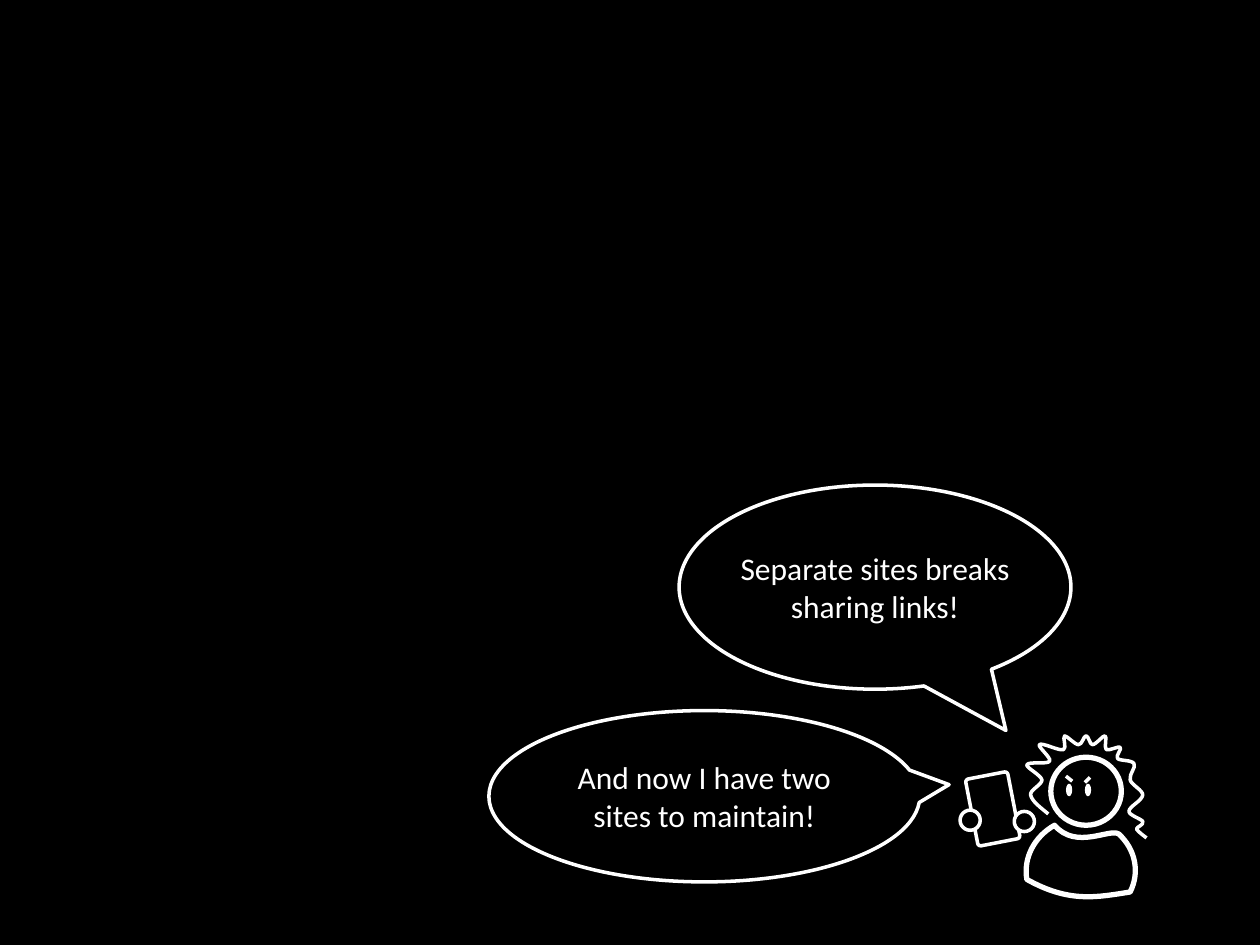
from lxml.etree import SubElement
from pptx import Presentation
from pptx.dml.color import RGBColor
from pptx.enum.shapes import MSO_CONNECTOR, MSO_SHAPE
from pptx.enum.text import MSO_ANCHOR, PP_ALIGN
from pptx.oxml.ns import qn
from pptx.util import Inches, Pt

COLORS = {"ink": "FFFFFF", "ground": "000000"}
FONT = {"name": "Calibri", "size": Pt(18)}

# Speech bubbles: text, box, tail tip as a share of the box from its centre
BUBBLES = [
    ("Separate sites breaks sharing links!", (5.39, 3.85, 3.11, 1.62), (0.334, 0.702)),
    ("And now I have two sites to maintain!", (3.88, 5.64, 3.42, 1.36), (0.568, -0.068)),
]

# Outlines: start point, then two handles and an end point for each curve
BODY_BOX = (8.15, 6.55, 0.87, 0.57)
BODY = [
    (8.15, 6.98),
    (8.12, 6.81), (8.21, 6.64), (8.37, 6.55),
    (8.54, 6.75), (8.81, 6.57), (8.88, 6.62),
    (9.01, 6.74), (9.05, 6.92), (8.97, 7.08),
    (8.71, 7.12), (8.49, 7.17), (8.15, 6.98),
]
HAIR_BOX = (8.15, 5.84, 0.95, 0.81)
HAIR = [
    (8.32, 6.46),
    (8.26, 6.41), (8.19, 6.36), (8.18, 6.31),
    (8.17, 6.27), (8.27, 6.23), (8.27, 6.19),
    (8.26, 6.15), (8.14, 6.09), (8.15, 6.07),
    (8.16, 6.04), (8.32, 6.07), (8.33, 6.04),
    (8.35, 6.02), (8.23, 5.92), (8.25, 5.91),
    (8.27, 5.89), (8.40, 5.96), (8.44, 5.95),
    (8.47, 5.94), (8.43, 5.85), (8.45, 5.84),
    (8.47, 5.84), (8.53, 5.91), (8.56, 5.91),
    (8.59, 5.91), (8.60, 5.84), (8.62, 5.84),
    (8.64, 5.84), (8.65, 5.91), (8.67, 5.91),
    (8.70, 5.91), (8.76, 5.83), (8.77, 5.84),
    (8.79, 5.84), (8.76, 5.93), (8.78, 5.95),
    (8.80, 5.96), (8.88, 5.92), (8.89, 5.93),
    (8.91, 5.94), (8.85, 6.00), (8.87, 6.02),
    (8.89, 6.04), (8.98, 6.03), (9.00, 6.06),
    (9.02, 6.09), (8.96, 6.14), (8.97, 6.19),
    (8.98, 6.23), (9.07, 6.27), (9.07, 6.31),
    (9.06, 6.36), (8.96, 6.40), (8.96, 6.44),
    (8.96, 6.47), (9.06, 6.50), (9.07, 6.52),
    (9.08, 6.55), (9.02, 6.56), (9.02, 6.58),
    (9.03, 6.60), (9.10, 6.65), (9.10, 6.65),
]

HEAD = (8.34, 6.01, 0.56, 0.54)
EYES = [(8.46, 6.22, 0.05, 0.1), (8.61, 6.22, 0.05, 0.1)]
BROWS = [(8.46, 6.16, 8.51, 6.2), (8.65, 6.17, 8.61, 6.21)]
PHONE = (7.71, 6.15, 0.34, 0.54)
HANDS = [(7.62, 6.43, 0.16, 0.16), (8.05, 6.44, 0.16, 0.16)]


def color(name):
    return RGBColor.from_string(COLORS[name])


def style(sp, fill=None, width=None):
    sp.shadow.inherit = False
    if fill:
        sp.fill.solid()
        sp.fill.fore_color.rgb = color(fill)
    else:
        sp.fill.background()
    if width:
        sp.line.color.rgb = color("ink")
        sp.line.width = Pt(width)
    else:
        sp.line.fill.background()
    return sp


def add_preset(shapes, kind, box, fill=None, width=None):
    return style(shapes.add_shape(kind, *map(Inches, box)), fill, width)


def add_curve(shapes, box, points, width, closed=False):
    x, y, w, h = box
    fb = shapes.build_freeform(Inches(x), Inches(y))
    fb.add_line_segments([(Inches(x + w), Inches(y)), (Inches(x + w), Inches(y + h))])
    sp = fb.convert_to_shape()
    # Swap the straight segments for Bezier curves
    path = next(sp.element.iter(qn("a:path")))
    for child in list(path):
        path.remove(child)

    def add_step(tag, pts):
        step = SubElement(path, qn(tag))
        for px, py in pts:
            SubElement(step, qn("a:pt"), x=str(Inches(px - x)), y=str(Inches(py - y)))

    add_step("a:moveTo", points[:1])
    for i in range(1, len(points), 3):
        add_step("a:cubicBezTo", points[i:i + 3])
    if closed:
        add_step("a:close", [])
    return style(sp, width=width)


def add_bubble(shapes, text, box, tail):
    sp = add_preset(shapes, MSO_SHAPE.OVAL_CALLOUT, box, width=2)
    for i, value in enumerate(tail):
        sp.adjustments[i] = value
    tf = sp.text_frame
    tf.word_wrap = True
    tf.vertical_anchor = MSO_ANCHOR.MIDDLE
    for side in ("left", "top", "right", "bottom"):
        setattr(tf, f"margin_{side}", 0)
    p = tf.paragraphs[0]
    p.alignment = PP_ALIGN.CENTER
    r = p.add_run()
    r.text = text
    for key, value in FONT.items():
        setattr(r.font, key, value)
    r.font.color.rgb = color("ink")


def add_line(shapes, ends, width):
    cn = shapes.add_connector(MSO_CONNECTOR.STRAIGHT, *map(Inches, ends))
    cn.line.color.rgb = color("ink")
    cn.line.width = Pt(width)
    SubElement(cn.element.spPr, qn("a:effectLst"))


def main():
    prs = Presentation()
    prs.slide_width, prs.slide_height = Inches(10), Inches(7.5)
    s = prs.slides.add_slide(prs.slide_layouts[6])
    s.background.fill.solid()
    s.background.fill.fore_color.rgb = color("ground")
    shapes = s.shapes

    # Figure
    add_curve(shapes, BODY_BOX, BODY, 3, closed=True)
    add_preset(shapes, MSO_SHAPE.OVAL, HEAD, width=3)
    add_curve(shapes, HAIR_BOX, HAIR, 2)
    for box in EYES:
        add_preset(shapes, MSO_SHAPE.OVAL, box, fill="ink")
    for ends in BROWS:
        add_line(shapes, ends, 2)

    # Phone held in both hands
    phone = add_preset(shapes, MSO_SHAPE.ROUNDED_RECTANGLE, PHONE, width=2)
    phone.adjustments[0] = 0.07
    phone.rotation = -11
    for box in HANDS:
        add_preset(shapes, MSO_SHAPE.OVAL, box, fill="ground", width=2)

    # Speech
    for bubble in BUBBLES:
        add_bubble(shapes, *bubble)

    prs.save("out.pptx")


if __name__ == "__main__":
    main()
